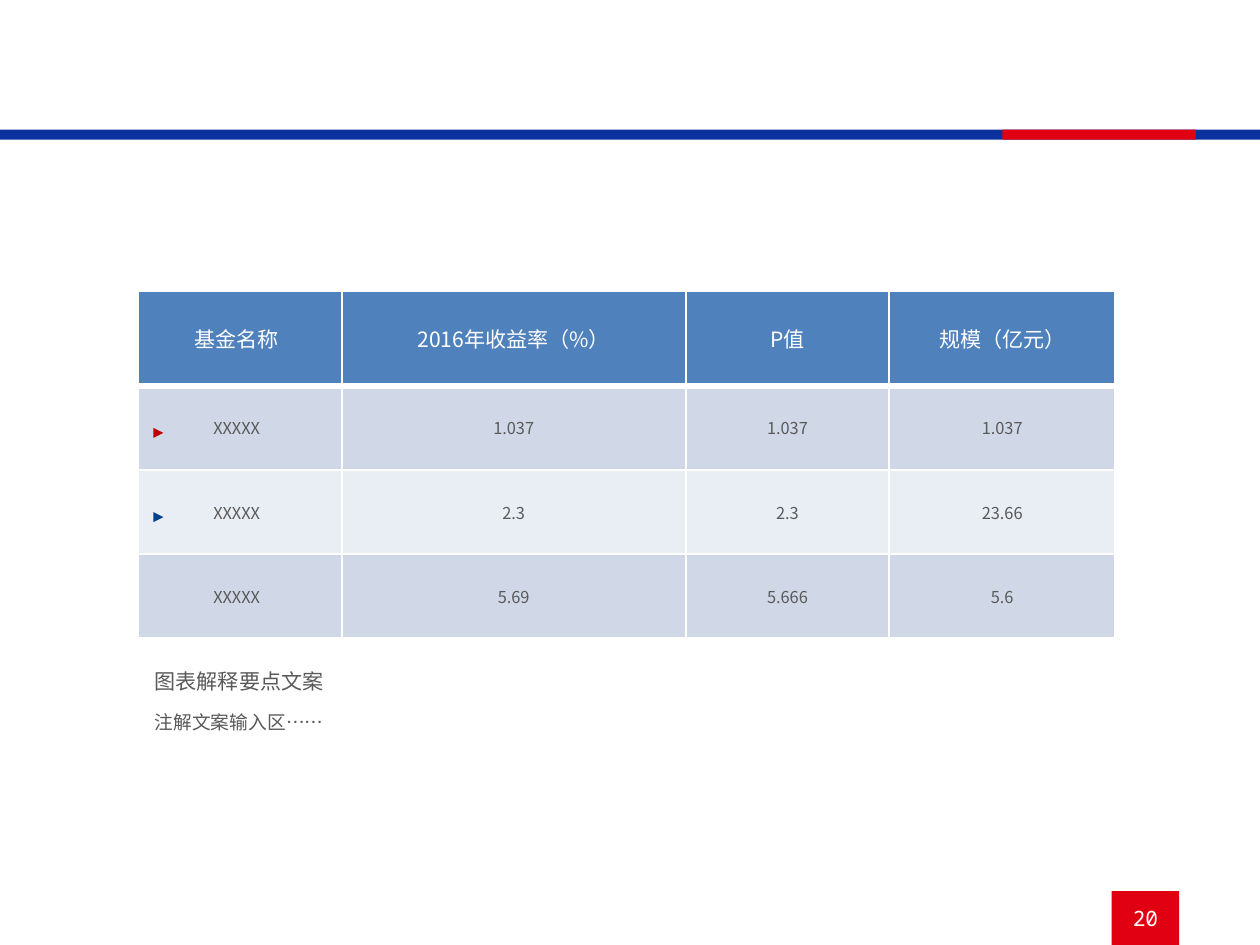
from dataclasses import dataclass

from lxml.etree import SubElement
from pptx import Presentation
from pptx.dml.color import RGBColor
from pptx.enum.shapes import MSO_SHAPE as Preset
from pptx.enum.text import MSO_ANCHOR as Anchor, PP_ALIGN as Align
from pptx.oxml import parse_xml
from pptx.oxml.ns import nsdecls, qn
from pptx.util import Inches, Pt


@dataclass(frozen=True)
class Theme:
    blue: str = "0A319D"
    red: str = "E10011"
    white: str = "FFFFFF"
    text: str = "595959"
    header: str = "4F81BD"
    bands: tuple = ("D0D8E8", "E9EDF4")
    markers: tuple = ("C00000", "00408D")
    sans: str = "Noto Sans CJK SC"
    mono: str = "Noto Sans Mono"
    heading_size: float = 9
    note_size: float = 8
    value_size: float = 7
    rule: float = 1
    header_rule: float = 3


THEME = Theme()
WIDTH, HEIGHT = 7.48, 5.61
TABLE_LEFT, TABLE_TOP = 0.82, 1.73
COLUMNS = (1.21, 2.04, 1.21, 1.34)
HEADER_HEIGHT, ROW_HEIGHT = 0.56, 0.5
MARKER = 0.06
FUNDS = (
    ("基金名称", "2016年收益率（%）", "P值", "规模（亿元）"),
    ("XXXXX", "1.037", "1.037", "1.037"),
    ("XXXXX", "2.3", "2.3", "23.66"),
    ("XXXXX", "5.69", "5.666", "5.6"),
)


def rgb(color):
    return RGBColor.from_string(color)


def format_runs(paragraph, size, color, face=THEME.sans):
    """Style every run, with the same face for Latin and East Asian text."""
    for run in paragraph.runs:
        run.font.size = Pt(size)
        run.font.color.rgb = rgb(color)
        run.font.name = face
        SubElement(run.font._element, qn("a:ea")).set("typeface", face)


def add_block(slide, preset, left, top, width, height, color):
    block = slide.shapes.add_shape(
        preset, Inches(left), Inches(top), Inches(width), Inches(height))
    block.shadow.inherit = False
    block.fill.solid()
    block.fill.fore_color.rgb = rgb(color)
    block.line.fill.background()
    return block


def add_header_bar(slide):
    for left, width, color in ((0, WIDTH, THEME.blue), (5.95, 1.15, THEME.red)):
        add_block(slide, Preset.RECTANGLE, left, 0.77, width, 0.06, color)


def add_page_number(slide, number):
    badge = add_block(slide, Preset.RECTANGLE, 6.6, HEIGHT - 0.32, 0.4, 0.32, THEME.red)
    frame = badge.text_frame
    frame.text = number
    frame.vertical_anchor = Anchor.MIDDLE
    frame.paragraphs[0].alignment = Align.CENTER
    format_runs(frame.paragraphs[0], THEME.heading_size, THEME.white, THEME.mono)


def set_borders(cell, top, bottom):
    """Draw white cell edges; the schema wants them ahead of the fill."""
    properties = cell._tc.get_or_add_tcPr()
    edges = (("L", THEME.rule), ("R", THEME.rule), ("T", top), ("B", bottom))
    for position, (side, weight) in enumerate(edges):
        properties.insert(position, parse_xml(
            f'<a:ln{side} {nsdecls("a")} w="{Pt(weight)}"><a:solidFill>'
            f'<a:srgbClr val="{THEME.white}"/></a:solidFill></a:ln{side}>'))


def fill_cell(cell, words, row, column):
    is_header = row == 0
    cell.text_frame.text = words
    cell.vertical_anchor = Anchor.MIDDLE
    cell.margin_left = Inches(0.04 if column == 0 else 0.08)
    cell.margin_right = Inches(0.08)
    cell.margin_top = cell.margin_bottom = Inches(0.04)
    paragraph = cell.text_frame.paragraphs[0]
    paragraph.alignment = Align.CENTER
    format_runs(paragraph,
                THEME.heading_size if is_header else THEME.value_size,
                THEME.white if is_header else THEME.text)
    cell.fill.solid()
    cell.fill.fore_color.rgb = rgb(
        THEME.header if is_header else THEME.bands[(row - 1) % 2])
    set_borders(cell,
                top=THEME.header_rule if row == 1 else THEME.rule,
                bottom=THEME.header_rule if is_header else THEME.rule)


def add_fund_table(slide):
    heights = [HEADER_HEIGHT] + [ROW_HEIGHT] * (len(FUNDS) - 1)
    table = slide.shapes.add_table(
        len(FUNDS), len(COLUMNS), Inches(TABLE_LEFT), Inches(TABLE_TOP),
        Inches(sum(COLUMNS)), Inches(sum(heights))).table
    for column, width in zip(table.columns, COLUMNS):
        column.width = Inches(width)
    for row, height in zip(table.rows, heights):
        row.height = Inches(height)
    for row, fund in enumerate(FUNDS):
        for column, words in enumerate(fund):
            fill_cell(table.cell(row, column), words, row, column)


def add_row_markers(slide):
    first_top = TABLE_TOP + HEADER_HEIGHT + ROW_HEIGHT / 2
    for row, color in enumerate(THEME.markers):
        marker = add_block(slide, Preset.ISOSCELES_TRIANGLE, TABLE_LEFT + 0.09,
                           first_top + row * ROW_HEIGHT, MARKER, MARKER, color)
        marker.rotation = 90


def add_caption(slide, heading, note):
    frame = slide.shapes.add_textbox(
        Inches(TABLE_LEFT), Inches(3.92), Inches(2.98), Inches(0.51)).text_frame
    frame.word_wrap = True
    frame.text = heading
    format_runs(frame.paragraphs[0], THEME.heading_size, THEME.text)
    remark = frame.add_paragraph()
    remark.text = note
    remark.space_before = Pt(7)
    format_runs(remark, THEME.note_size, THEME.text)


def main():
    deck = Presentation()
    deck.slide_width, deck.slide_height = Inches(WIDTH), Inches(HEIGHT)
    slide = deck.slides.add_slide(deck.slide_layouts[6])
    add_header_bar(slide)
    add_fund_table(slide)
    add_row_markers(slide)
    add_caption(slide, "图表解释要点文案", "注解文案输入区……")
    add_page_number(slide, "20")
    deck.save("out.pptx")


if __name__ == "__main__":
    main()
